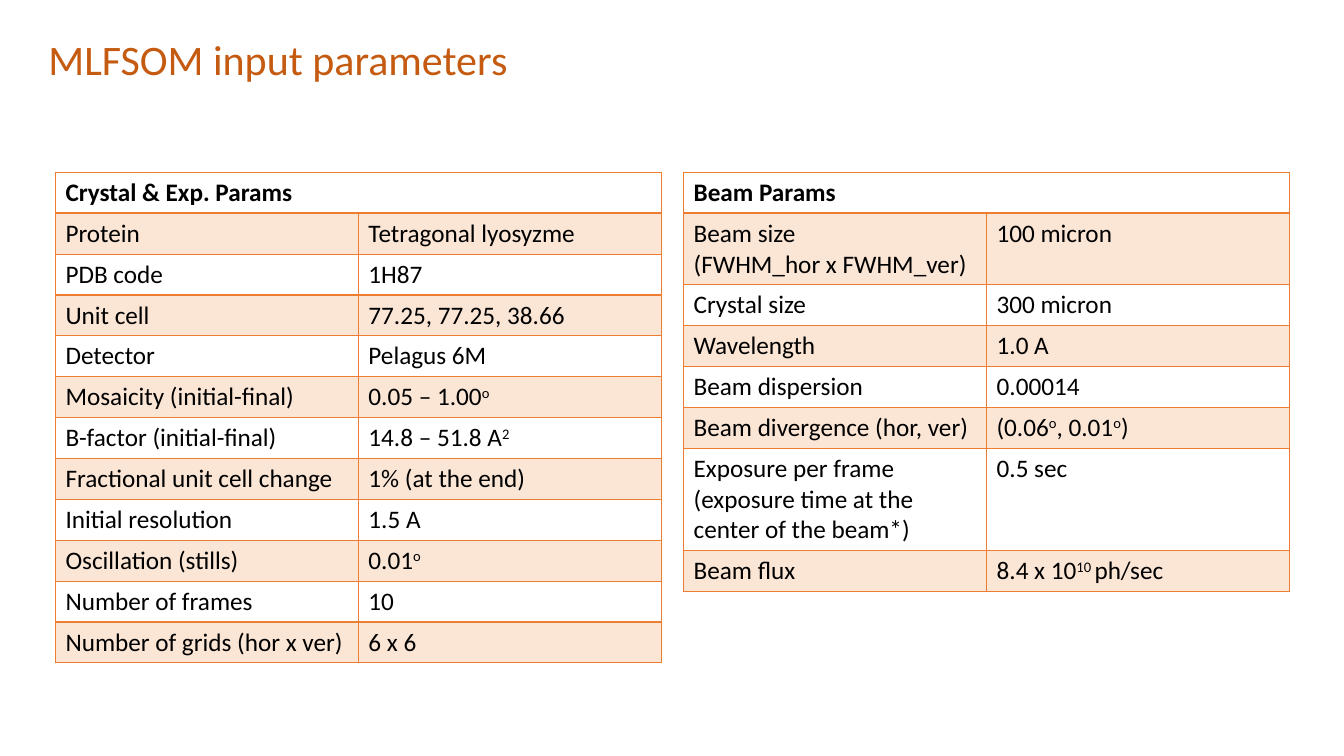
"""Build the slide of MLFSOM input parameters with its two tables."""
from lxml import etree
from pptx import Presentation
from pptx import util as u
from pptx.dml.color import RGBColor
from pptx.enum import text
from pptx.oxml import ns

TITLE = "MLFSOM input parameters"
# Between carets: superscript. A third entry: how many lines the row holds.
CRYSTAL = ("Crystal & Exp. Params", [
    ("Protein", "Tetragonal lyosyzme"),
    ("PDB code", "1H87"),
    ("Unit cell", "77.25, 77.25, 38.66"),
    ("Detector", "Pelagus 6M"),
    ("Mosaicity (initial-final)", "0.05 – 1.00^o^"),
    ("B-factor (initial-final)", "14.8 – 51.8 A^2^"),
    ("Fractional unit cell change", "1% (at the end)"),
    ("Initial resolution", "1.5 A"),
    ("Oscillation (stills)", "0.01^o^"),
    ("Number of frames", "10"),
    ("Number of grids (hor x ver)", "6 x 6"),
])
BEAM = ("Beam Params", [
    ("Beam size\n(FWHM_hor x FWHM_ver)", "100 micron", 2),
    ("Crystal size", "300 micron"),
    ("Wavelength", "1.0 A"),
    ("Beam dispersion", "0.00014"),
    ("Beam divergence (hor, ver)", "(0.06^o^, 0.01^o^)"),
    ("Exposure per frame (exposure time at the center of the beam*)", "0.5 sec", 3),
    ("Beam flux", "8.4 x 10^10 ^ph/sec"),
])

COLORS = {"title": "C55A11", "text": "000000", "accent": "ED7D31"}
BAND_OPACITY = 20
SLIDE_SIZE = (13.33, 7.5)
TITLE_BOX = {"left": 0.38, "top": 0.35, "width": 11.5, "height": 0.53}
TABLE_LEFT, TABLE_TOP, TABLE_WIDTH, TABLE_GAP = 0.55, 1.71, 6.01, 0.22
ROW_HEIGHT = 4.87 / 12
LINE_HEIGHT = 0.3


def format_span(span, size, color, bold=False):
    for name, value in {"name": "Calibri", "size": u.Pt(size), "bold": bold}.items():
        setattr(span.font, name, value)
    span.font.color.rgb = RGBColor.from_string(COLORS[color])


def write_cell(cell, content, bold=False):
    for index, line in enumerate(content.split("\n")):
        frame = cell.text_frame
        para = frame.add_paragraph() if index else frame.paragraphs[0]
        for part, wording in enumerate(line.split("^")):
            if wording:
                span = para.add_run()
                span.text = wording
                format_span(span, 18, "text", bold)
                if part % 2:
                    span._r.get_or_add_rPr().set("baseline", "30000")


def draw_borders(cell, widths):
    properties = cell._tc.get_or_add_tcPr()
    for side, width in zip("LRTB", widths):
        line = etree.SubElement(properties, ns.qn(f"a:ln{side}"), w=str(u.Pt(width)))
        fill = etree.SubElement(line, ns.qn("a:solidFill"))
        etree.SubElement(fill, ns.qn("a:srgbClr"), val=COLORS["accent"])


def fill_cell(cell, banded):
    if not banded:
        cell.fill.background()
        return
    cell.fill.solid()
    cell.fill.fore_color.rgb = RGBColor.from_string(COLORS["accent"])
    color = cell._tc.tcPr.find(ns.qn("a:solidFill")).find(ns.qn("a:srgbClr"))
    etree.SubElement(color, ns.qn("a:alpha"), val=str(BAND_OPACITY * 1000))


def add_parameters(page, left, heading, entries):
    rows = [(heading, "")] + entries
    heights = [ROW_HEIGHT + LINE_HEIGHT * (sum(row[2:]) - 1 if row[2:] else 0) for row in rows]
    table = page.shapes.add_table(len(rows), 2, u.Inches(left), u.Inches(TABLE_TOP),
                                  u.Inches(TABLE_WIDTH), u.Inches(sum(heights))).table
    table.first_row = table.horz_banding = False
    for column in table.columns:
        column.width = u.Inches(TABLE_WIDTH / 2)
    for index, (row, height) in enumerate(zip(rows, heights)):
        table.rows[index].height = u.Inches(height)
        top, bottom = 2 if index == 1 else 1, 2 if index == 0 else 1
        for column, content in enumerate(row[:2]):
            cell = table.cell(index, column)
            write_cell(cell, content, bold=index == 0)
            draw_borders(cell, (1, 1, top, bottom))
            fill_cell(cell, banded=index % 2 == 1)
    table.cell(0, 0).merge(table.cell(0, 1))


def add_title(page):
    title = page.shapes.title
    for name, value in TITLE_BOX.items():
        setattr(title, name, u.Inches(value))
    frame = title.text_frame
    layout = {"word_wrap": True, "auto_size": text.MSO_AUTO_SIZE.NONE,
              "vertical_anchor": text.MSO_ANCHOR.MIDDLE}
    for name, value in layout.items():
        setattr(frame, name, value)
    para = frame.paragraphs[0]
    para.alignment, para.line_spacing = text.PP_ALIGN.LEFT, 0.9
    span = para.add_run()
    span.text = TITLE
    format_span(span, 30, "title")


def main():
    deck = Presentation()
    deck.slide_width, deck.slide_height = map(u.Inches, SLIDE_SIZE)
    page = deck.slides.add_slide(deck.slide_layouts[5])
    add_title(page)
    for index, (heading, entries) in enumerate((CRYSTAL, BEAM)):
        left = TABLE_LEFT + index * (TABLE_WIDTH + TABLE_GAP)
        add_parameters(page, left, heading, entries)
    deck.save("out.pptx")


if __name__ == "__main__":
    main()
